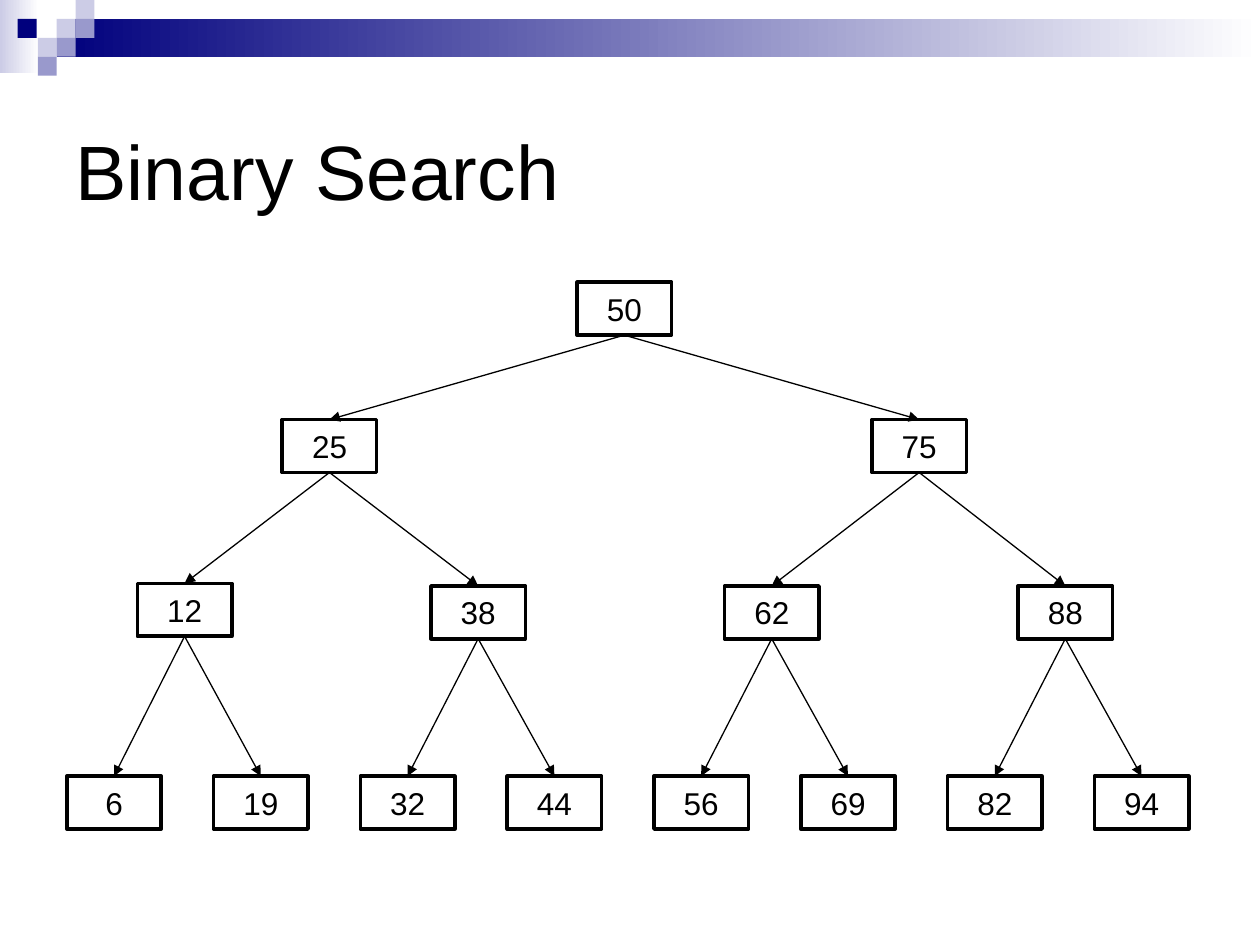
from pptx import Presentation
from pptx.dml.color import RGBColor
from pptx.enum import shapes, text
from pptx.oxml.ns import qn
from pptx.util import Inches, Pt
from lxml import etree

COLORS = {"ink": "000000", "paper": "FFFFFF", "navy": "00007D",
          "lavender": "CCCCE6", "violet": "9999CC"}
BOX_WIDTH, BOX_HEIGHT = 0.75, 0.42
BOTTOM, TOP = 2, 0

# Each level: top, left of the first box, step between boxes, values
LEVELS = [
    (2.24, 4.58, 0, [50]),
    (3.33, 2.24, 4.68, [25, 75]),
    (4.65, 1.09, 2.33, [12, 38, 62, 88]),
    (6.16, 0.53, 2.33 / 2, [6, 19, 32, 44, 56, 69, 82, 94]),
]
RAISED_TOPS = {12: 4.63}

BANNER_SQUARES = [
    (0.45, 0.15, "lavender"), (0.6, 0, "lavender"), (0.6, 0.15, "violet"),
    (0.3, 0.3, "lavender"), (0.14, 0.15, "navy"), (0.45, 0.3, "violet"),
    (0.3, 0.45, "violet"),
]


class SlideBuilder:
    font = "Arial"

    def __init__(self, slide):
        self.slide = slide

    def color(self, name):
        return RGBColor.from_string(COLORS[name])

    def add_words(self, paragraph, words, size, alignment):
        paragraph.alignment = alignment
        run = paragraph.add_run()
        run.text = words
        run.font.name = self.font
        run.font.size = Pt(size)
        run.font.color.rgb = self.color("ink")

    def title(self, words):
        title = self.slide.shapes.title
        title.left, title.top = Inches(0.5), Inches(0.84)
        title.width, title.height = Inches(9), Inches(1.02)
        frame = title.text_frame
        frame.auto_size = text.MSO_AUTO_SIZE.NONE
        frame.vertical_anchor = text.MSO_ANCHOR.MIDDLE
        self.add_words(frame.paragraphs[0], words, 44, text.PP_ALIGN.LEFT)

    def rectangle(self, group, left, top, width, height, fill, fade=False):
        """Add a borderless rectangle, fading to white on the right if asked."""
        shape = group.shapes.add_shape(
            shapes.MSO_SHAPE.RECTANGLE,
            Inches(left), Inches(top), Inches(width), Inches(height))
        shape.shadow.inherit = False
        shape.line.fill.background()
        if fade:
            shape.fill.gradient()
            shape.fill.gradient_angle = 0
            for stop, name in zip(shape.fill.gradient_stops, (fill, "paper")):
                stop.color.rgb = self.color(name)
        else:
            shape.fill.solid()
            shape.fill.fore_color.rgb = self.color(fill)
        return shape

    def node(self, group, left, top, value):
        box = self.rectangle(group, left, top, BOX_WIDTH, BOX_HEIGHT, "paper")
        box.line.color.rgb = self.color("ink")
        box.line.width = Pt(2)
        frame = box.text_frame
        frame.vertical_anchor = text.MSO_ANCHOR.MIDDLE
        self.add_words(frame.paragraphs[0], str(value), 18, text.PP_ALIGN.CENTER)
        return box

    def arrow(self, group, parent, child):
        connector = group.shapes.add_connector(
            shapes.MSO_CONNECTOR.STRAIGHT,
            parent.left + parent.width // 2, parent.top + parent.height,
            child.left + child.width // 2, child.top)
        connector.begin_connect(parent, BOTTOM)
        connector.end_connect(child, TOP)
        connector.line.color.rgb = self.color("ink")
        connector.line.width = Pt(0.75)
        properties = connector._element.spPr
        line = properties.find(qn("a:ln"))
        etree.SubElement(line, qn("a:tailEnd"), type="triangle")
        etree.SubElement(properties, qn("a:effectLst"))

    def banner(self):
        group = self.slide.shapes.add_group_shape()
        self.rectangle(group, 0, 0, 0.31, 0.58, "lavender", fade=True)
        self.rectangle(group, 0.45, 0.15, 9.55, 0.3, "navy", fade=True)
        for left, top, fill in BANNER_SQUARES:
            self.rectangle(group, left, top, 0.15, 0.15, fill)

    def tree(self):
        group = self.slide.shapes.add_group_shape()
        rows = [[self.node(group, left + step * i, RAISED_TOPS.get(value, top), value)
                 for i, value in enumerate(values)]
                for top, left, step, values in LEVELS]
        for parents, children in zip(rows, rows[1:]):
            for i, child in enumerate(children):
                self.arrow(group, parents[i // 2], child)


def main():
    presentation = Presentation()
    presentation.slide_width, presentation.slide_height = Inches(10), Inches(7.5)
    title_only = presentation.slide_layouts[5]
    builder = SlideBuilder(presentation.slides.add_slide(title_only))
    builder.banner()
    builder.title("Binary Search")
    builder.tree()
    presentation.save("out.pptx")


if __name__ == "__main__":
    main()
